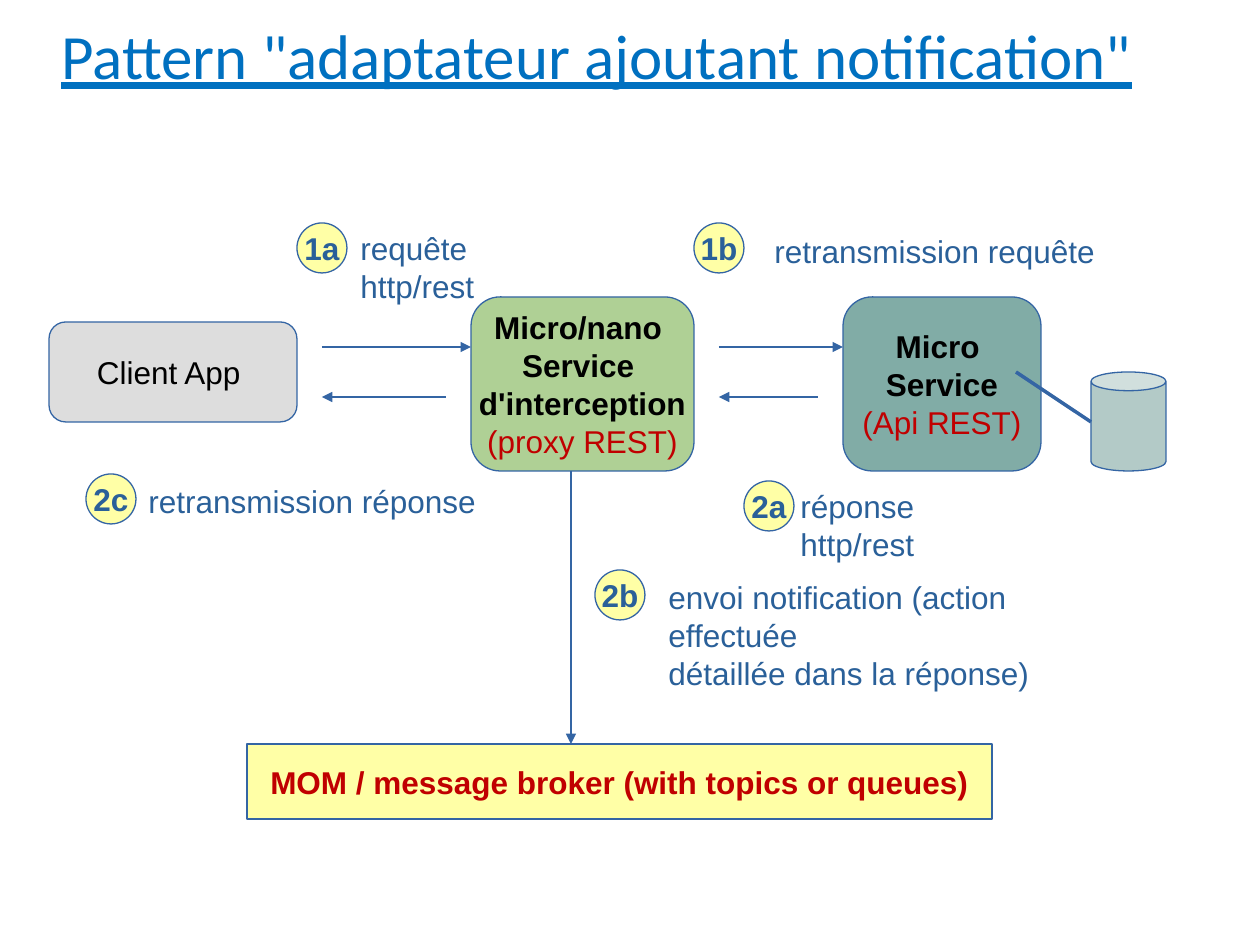
import pptx
import pptx.util
import pptx.dml.color
import pptx.enum.shapes
import pptx.enum.text
import pptx.oxml
import pptx.oxml.ns

RGB = pptx.dml.color.RGBColor
SHAPE = pptx.enum.shapes.MSO_SHAPE
ALIGN = pptx.enum.text.PP_ALIGN
ANCHOR = pptx.enum.text.MSO_ANCHOR

TITLE_BLUE = RGB(0x00, 0x70, 0xC0)
LINE_BLUE = RGB(0x34, 0x65, 0xA4)
LABEL_BLUE = RGB(0x2A, 0x60, 0x99)
RED = RGB(0xC0, 0x00, 0x00)
BLACK = RGB(0x00, 0x00, 0x00)
GREY = RGB(0xDD, 0xDD, 0xDD)
GREEN = RGB(0xAF, 0xD0, 0x95)
TEAL = RGB(0x81, 0xAC, 0xA6)
PALE_TEAL = RGB(0xB3, 0xCA, 0xC7)
YELLOW = RGB(0xFF, 0xFF, 0xA6)

PIXELS_PER_INCH = 126
BADGE = 50

PLAIN = {"name": "Arial", "size": pptx.util.Pt(18), "bold": False, "color": BLACK}
BOLD = {**PLAIN, "bold": True}
API = {**PLAIN, "color": RED}
BROKER = {**BOLD, "color": RED}
LABEL = {**PLAIN, "color": LABEL_BLUE}
STEP = {**LABEL, "bold": True}
TITLE = {"name": "Calibri", "size": pptx.util.Pt(36), "underline": True,
         "color": TITLE_BLUE}


def px(*lengths):
    """Turn pixel lengths into EMU."""
    return [pptx.util.Emu(round(length * 914400 / PIXELS_PER_INCH)) for length in lengths]


def write(frame, paragraphs, align=ALIGN.LEFT, anchor=ANCHOR.TOP, wrap=True):
    """Fill a frame with paragraphs, each a list of (text, format) lines."""
    for key, value in {"word_wrap": wrap, "vertical_anchor": anchor}.items():
        setattr(frame, key, value)
    for number, lines in enumerate(paragraphs):
        paragraph = frame.add_paragraph() if number else frame.paragraphs[0]
        paragraph.alignment = align
        for index, (text, look) in enumerate(lines):
            if index:
                paragraph.add_line_break()
            run = paragraph.add_run()
            run.text = text
            for key, value in look.items():
                if key == "color":
                    run.font.color.rgb = value
                else:
                    setattr(run.font, key, value)


def text_area(slide, box, lines):
    """Place wrapped text at the top left of the box."""
    write(slide.shapes.add_textbox(*px(*box)).text_frame, [lines])


def block(slide, kind, box, fill, paragraphs=()):
    """Place a filled, thinly outlined shape with centred text in the box."""
    shape = slide.shapes.add_shape(kind, *px(*box))
    shape.shadow.inherit = False
    shape.fill.solid()
    shape.fill.fore_color.rgb = fill
    shape.line.color.rgb = LINE_BLUE
    shape.line.width = 0
    if paragraphs:
        write(shape.text_frame, paragraphs, ALIGN.CENTER, ANCHOR.MIDDLE, False)


def link(slide, start, end, arrow=True):
    """Draw a straight line, either a thin one or an arrow."""
    line = slide.shapes.add_connector(
        pptx.enum.shapes.MSO_CONNECTOR.STRAIGHT, *px(*start, *end))
    line.line.color.rgb = LINE_BLUE
    line.line.width = pptx.util.Pt(1.5 if arrow else 0)
    properties = line._element.spPr
    if arrow:
        outline = properties.find(pptx.oxml.ns.qn("a:ln"))
        outline.append(pptx.oxml.parse_xml(
            f'<a:tailEnd {pptx.oxml.ns.nsdecls("a")} type="triangle"/>'))
    properties.append(pptx.oxml.parse_xml(
        f'<a:effectLst {pptx.oxml.ns.nsdecls("a")}/>'))


def step(slide, number, box, offset, lines):
    """Place a numbered badge at the box corner and its label at an offset."""
    left, top, width, height = box
    dx, dy = offset
    block(slide, SHAPE.OVAL, (left, top, BADGE, BADGE), YELLOW, [[(number, STEP)]])
    text_area(slide, (left + dx, top + dy, width - dx, height - dy),
              [(line, LABEL) for line in lines])


def micro_service(slide, box):
    """Place the REST service and the database to its right."""
    left, top, width, height = box
    block(slide, SHAPE.ROUNDED_RECTANGLE, box, TEAL,
          [[("Micro ", BOLD)], [("Service", BOLD), ("(Api REST)", API)]])
    store_left, store_top = left + width + 50, top + 75
    block(slide, SHAPE.CAN, (store_left, store_top, 75, height - 75), PALE_TEAL)
    link(slide, (left + width - 25, store_top), (store_left, store_top + 50), arrow=False)


def architecture(slide, box):
    """Place the client, the services, the broker and their arrows."""
    left, top, width, height = box
    request, reply = top + 50, top + 100
    proxy, service, bottom = left + 422, left + 794, top + 174
    broker = top + height - 75
    block(slide, SHAPE.ROUNDED_RECTANGLE, (left, top + 25, 248, 100), GREY,
          [[("Client App ", PLAIN)]])
    block(slide, SHAPE.ROUNDED_RECTANGLE, (proxy, top, 223, 174), GREEN,
          [[("Micro/nano ", BOLD)], [("Service ", BOLD)],
           [("d'interception", BOLD), ("(proxy REST)", API)]])
    micro_service(slide, (service, top, 198, 174))
    block(slide, SHAPE.RECTANGLE, (left + 198, broker, 745, 75), YELLOW,
          [[("MOM / message broker (with topics or queues)", BROKER)]])
    for start, end in (
        ((left + 273, request), (proxy, request)),
        ((left + 670, request), (service, request)),
        ((left + 769, reply), (left + 670, reply)),
        ((proxy + 100, bottom), (proxy + 100, broker)),
        ((left + 397, reply), (left + 273, reply)),
    ):
        link(slide, start, end)


STEPS = (
    ("1a", (297, 223, 301, 50), (51, 0), ["requête http/rest"]),
    ("1b", (694, 223, 421, 50), (68, 3), ["retransmission requête "]),
    ("2a", (744, 481, 299, 50), (44, 0), ["réponse http/rest"]),
    ("2b", (595, 570, 551, 85), (61, 2),
     ["envoi notification (action effectuée", "détaillée dans la réponse)"]),
    ("2c", (86, 474, 410, 50), (50, 2), ["retransmission réponse "]),
)

deck = pptx.Presentation()
deck.slide_width, deck.slide_height = px(1260, 945)
page = deck.slides.add_slide(deck.slide_layouts[6])
text_area(page, (49, 10, 1191, 113), [('Pattern "adaptateur ajoutant notification"', TITLE)])
architecture(page, (49, 297, 1117, 522))
for number, area, offset, lines in STEPS:
    step(page, number, area, offset, lines)
deck.save("out.pptx")
